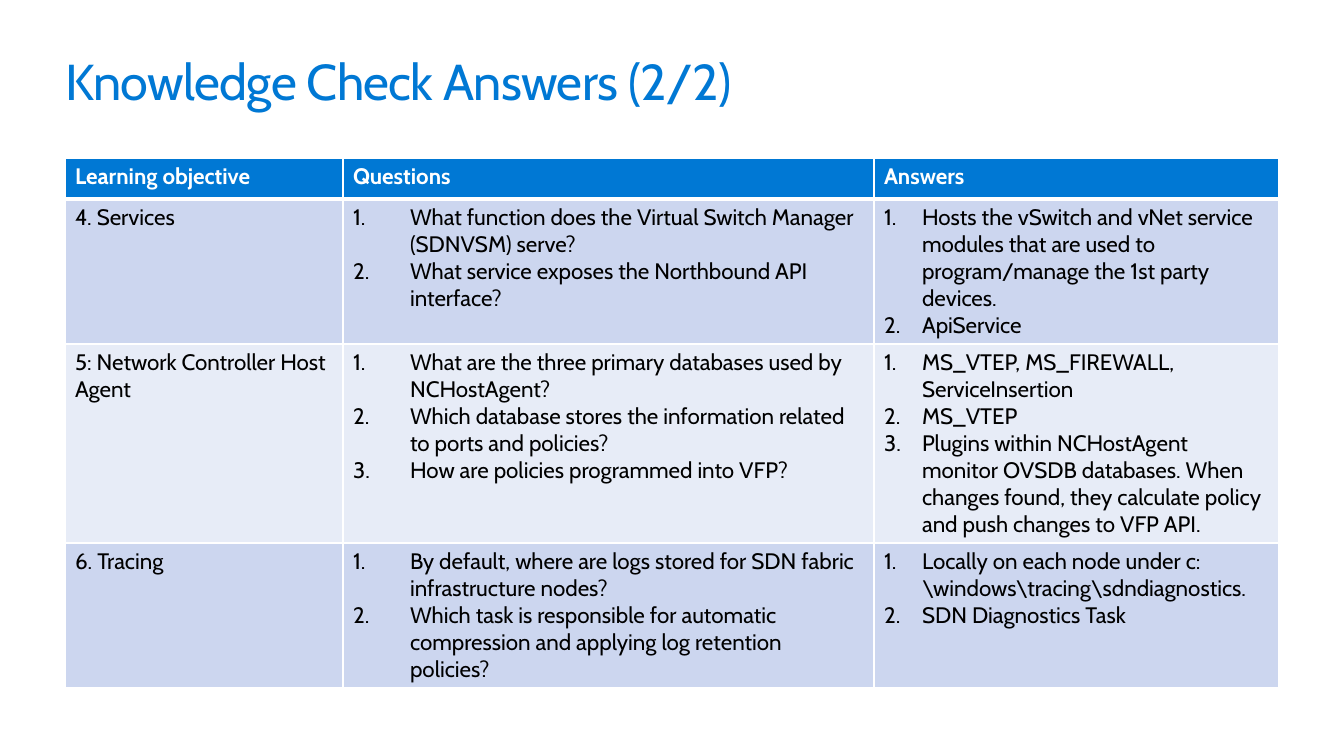
from lxml.etree import SubElement
from pptx import Presentation
from pptx.dml.color import RGBColor
from pptx.oxml.ns import qn
from pptx.util import Emu, Pt

# Content
TITLE = "Knowledge Check Answers\u00a0(2/2)"
HEADERS = ["Learning objective", "Questions", "Answers"]
OBJECTIVES = [
    ("4. Services",
     ["What function does the Virtual Switch Manager (SDNVSM) serve?",
      "What service exposes the Northbound API interface?"],
     ["Hosts the vSwitch and vNet service modules that are used to "
      "program/manage the 1st party devices.\u00a0",
      "ApiService"]),
    ("5: Network Controller Host Agent",
     ["What are the three primary databases used by NCHostAgent?",
      "Which database stores the information related to ports and policies?",
      "How are policies programmed into VFP?"],
     ["MS_VTEP, MS_FIREWALL, ServiceInsertion",
      "MS_VTEP",
      "Plugins within NCHostAgent monitor OVSDB databases. When changes found, "
      "they calculate policy and push changes to VFP API."]),
    ("6. Tracing",
     ["By default, where are logs stored for SDN fabric infrastructure nodes?",
      "Which task is responsible for automatic compression and applying "
      "log retention policies?"],
     [r"Locally on each node under c:\windows\tracing\sdndiagnostics.",
      "SDN Diagnostics Task"]),
]

# Layout in px
SLIDE_W, SLIDE_H = 1344, 756
LEFT, TITLE_TOP, TITLE_H, TABLE_TOP = 65, 50, 62, 158
COL_WIDTHS = [278, 531, 405]
ROW_HEIGHTS = [41, 145, 199, 145]
INDENTS = [0, 57, 38]

FONT = "Cabin"
BLUE = RGBColor(0x00, 0x78, 0xD4)
WHITE = RGBColor(0xFF, 0xFF, 0xFF)
BLACK = RGBColor(0x00, 0x00, 0x00)
BANDS = [RGBColor(0xCC, 0xD6, 0xEF), RGBColor(0xE7, 0xEC, 0xF7)]


def px(n):
    return Emu(round(n * 914400 / 100.8))


def style(font, size, color, bold=False):
    font.name, font.size, font.bold = FONT, Pt(size), bold
    font.color.rgb = color


def number(p, indent):
    pPr = p._p.get_or_add_pPr()
    pPr.set("marL", str(px(indent)))
    pPr.set("indent", str(-px(indent)))
    SubElement(pPr, qn("a:buFont"), typeface="+mj-lt")
    SubElement(pPr, qn("a:buAutoNum"), type="arabicPeriod")


def set_borders(cell, bottom):
    tcPr = cell._tc.get_or_add_tcPr()
    widths = {"a:lnL": 1, "a:lnR": 1, "a:lnT": 1, "a:lnB": bottom}
    for i, (tag, width) in enumerate(widths.items()):
        ln = SubElement(tcPr, qn(tag), w=str(Pt(width)))
        fill = SubElement(ln, qn("a:solidFill"))
        SubElement(fill, qn("a:srgbClr"), val=str(WHITE))
        tcPr.insert(i, ln)


def fill_cell(cell, content, fill, color, indent=0, header=False):
    numbered = isinstance(content, list)
    cell.text_frame.text = "\n".join(content) if numbered else content
    for p in cell.text_frame.paragraphs:
        if numbered:
            number(p, indent)
        for r in p.runs:
            style(r.font, 16, color, header)
    cell.fill.solid()
    cell.fill.fore_color.rgb = fill
    set_borders(cell, 3 if header else 1)


prs = Presentation()
prs.slide_width, prs.slide_height = px(SLIDE_W), px(SLIDE_H)
s = prs.slides.add_slide(prs.slide_layouts[6])
table_w = sum(COL_WIDTHS)

# Title
tf = s.shapes.add_textbox(px(LEFT), px(TITLE_TOP), px(table_w), px(TITLE_H)).text_frame
tf.word_wrap = True
tf.margin_left = tf.margin_right = tf.margin_top = tf.margin_bottom = 0
tf.text = TITLE
r = tf.paragraphs[0].runs[0]
style(r.font, 36, BLUE)
r._r.get_or_add_rPr().set("spc", "-50")

# Table
table = s.shapes.add_table(len(ROW_HEIGHTS), len(COL_WIDTHS), px(LEFT), px(TABLE_TOP),
                           px(table_w), px(sum(ROW_HEIGHTS))).table
for column, width in zip(table.columns, COL_WIDTHS):
    column.width = px(width)
for row, height in zip(table.rows, ROW_HEIGHTS):
    row.height = px(height)

# Header row, then the banded objectives
for c, header in enumerate(HEADERS):
    fill_cell(table.cell(0, c), header, BLUE, WHITE, header=True)
for i, objective in enumerate(OBJECTIVES):
    for c, content in enumerate(objective):
        fill_cell(table.cell(i + 1, c), content, BANDS[i % 2], BLACK, INDENTS[c])

prs.save("out.pptx")
